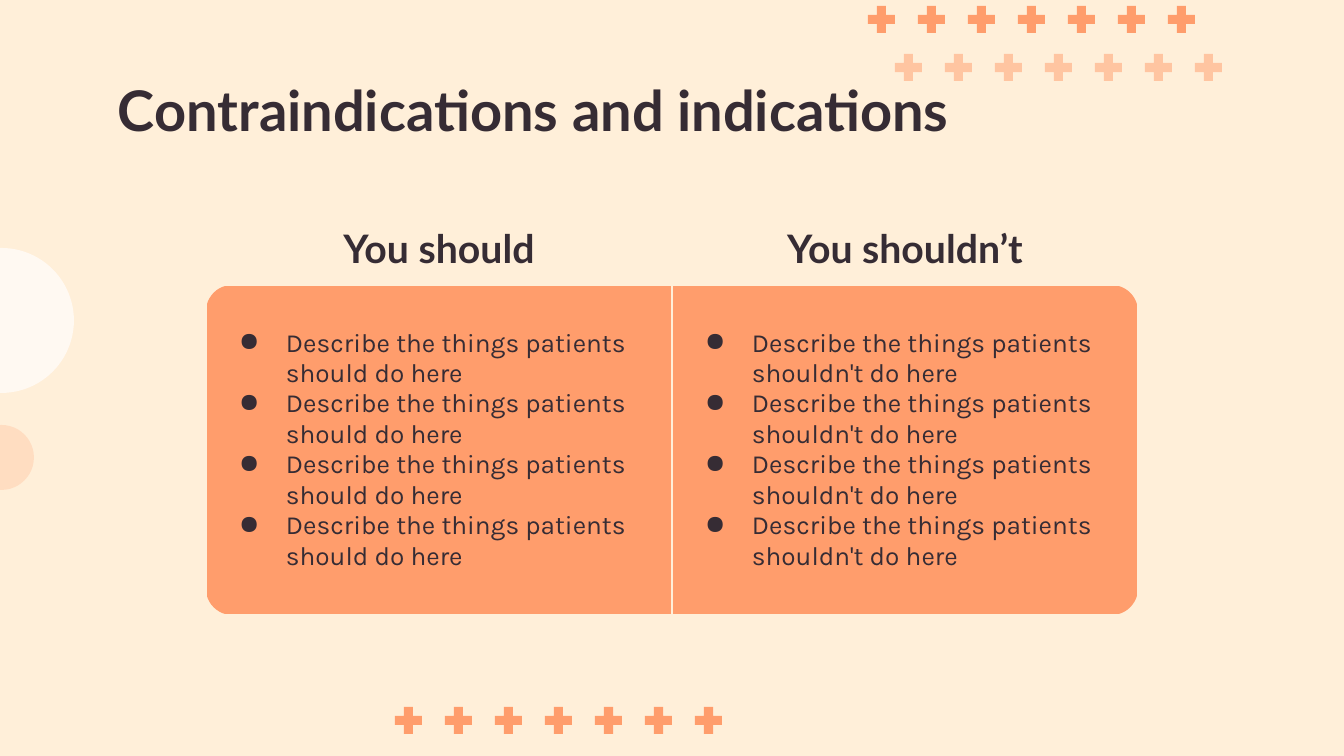
from lxml import etree
from pptx import Presentation
from pptx.dml.color import RGBColor
from pptx.enum.shapes import MSO_SHAPE
from pptx.enum.text import MSO_ANCHOR, PP_ALIGN
from pptx.oxml.ns import qn
from pptx.util import Pt

CROSS = MSO_SHAPE.CROSS
OVAL = MSO_SHAPE.OVAL
ROUND = MSO_SHAPE.ROUNDED_RECTANGLE
TOP, MIDDLE = MSO_ANCHOR.TOP, MSO_ANCHOR.MIDDLE
LEFT, CENTER = PP_ALIGN.LEFT, PP_ALIGN.CENTER

SCALE = 914400 / 134.4  # EMU in one px
WIDE, HIGH = 1344, 756

THEME = {
    "cream": "FFEFD9", "orange": "FF9D6C", "white": "FFFFFF", "ink": "362C34",
    "title": {"name": "Lato", "size": Pt(30), "bold": True},
    "head": {"name": "Lato", "size": Pt(21), "bold": True},
    "body": {"name": "Karla", "size": Pt(14), "bold": False},
    "rule": Pt(0.75),
}
INSET = 13
INDENT, HANG = 67, 47

COLUMNS = [
    ("You should", ["Describe the things patients should do here"] * 4),
    ("You shouldn’t", ["Describe the things patients shouldn't do here"] * 4),
]


def emu(*sizes):
    return [round(size * SCALE) for size in sizes]


def color(name):
    return RGBColor.from_string(THEME[name])


def assign(target, values):
    for key, value in values.items():
        setattr(target, key, value)


def add(parent, tag, **attrs):
    return etree.SubElement(parent, qn(tag), attrs)


def margins(prefix):
    return {prefix + side: emu(INSET)[0] for side in ("left", "right", "top", "bottom")}


def draw(slide, kind, box, name, alpha=100):
    """Place one plain preset shape."""
    shape = slide.shapes.add_shape(kind, *emu(*box))
    shape.shadow.inherit = False
    shape.fill.solid()
    shape.fill.fore_color.rgb = color(name)
    shape.line.fill.background()
    if alpha < 100:
        tint = shape.fill._xPr.find(".//" + qn("a:srgbClr"))
        add(tint, "a:alpha", val=str(alpha * 1000))
    return shape


def write(para, text, style, align=LEFT, bullet=False):
    """Fill one paragraph with a single run."""
    para.alignment = align
    if bullet:
        props = para._p.get_or_add_pPr()
        left, hang = emu(INDENT, HANG)
        props.set("marL", str(left))
        props.set("indent", str(-hang))
        add(add(props, "a:buClr"), "a:srgbClr", val=THEME["ink"])
        add(props, "a:buChar", char="●")
    run = para.add_run()
    run.text = text
    assign(run.font, THEME[style])
    run.font.color.rgb = color("ink")


def crosses(slide, box, alpha=100, count=7):
    """A row of crosses at an equal pitch across the box."""
    left, top, width, size = box
    pitch = (width - size) // (count - 1)
    for i in range(count):
        cross = draw(slide, CROSS, (left + i * pitch, top, size, size), "orange", alpha)
        cross.adjustments[0] = 0.33


def title(slide, box, text):
    frame = slide.shapes.add_textbox(*emu(*box)).text_frame
    assign(frame, {"word_wrap": True, "vertical_anchor": TOP, **margins("margin_")})
    write(frame.paragraphs[0], text, "title")


def outline(cell):
    props = cell._tc.get_or_add_tcPr()
    for side in ("a:lnL", "a:lnR", "a:lnT", "a:lnB"):
        line = add(props, side, w=str(THEME["rule"]))
        add(add(line, "a:solidFill"), "a:srgbClr", val=THEME["cream"])


def advice(slide, box, head):
    """Two headed lists, with the lower row on a rounded panel."""
    left, top, width, height = box
    body = height - head
    panel = draw(slide, ROUND, (left, top + head, width, body), "orange")
    panel.adjustments[0] = 0.08

    table = slide.shapes.add_table(2, len(COLUMNS), *emu(*box)).table
    assign(table, {"first_row": False, "horz_banding": False})
    for row, size in zip(table.rows, emu(head, body)):
        row.height = size
    for i, (name, items) in enumerate(COLUMNS):
        table.columns[i].width = emu(width // len(COLUMNS))[0]
        upper, lower = table.cell(0, i), table.cell(1, i)
        for cell in (upper, lower):
            outline(cell)
            cell.fill.background()
            assign(cell, {"vertical_anchor": MIDDLE, **margins("margin_")})
        write(upper.text_frame.paragraphs[0], name, "head", CENTER)
        frame = lower.text_frame
        for j, item in enumerate(items):
            para = frame.add_paragraph() if j else frame.paragraphs[0]
            write(para, item, "body", bullet=True)


def main():
    deck = Presentation()
    deck.slide_width, deck.slide_height = emu(WIDE, HIGH)
    slide = deck.slides.add_slide(deck.slide_layouts[6])
    slide.background.fill.solid()
    slide.background.fill.fore_color.rgb = color("cream")

    # Decoration
    crosses(slide, (395, 707, 327, 27))
    draw(slide, OVAL, (-31, 425, 65, 65), "orange", 21)
    draw(slide, OVAL, (-71, 248, 145, 145), "white", 66)
    crosses(slide, (895, 54, 327, 27), 51)
    crosses(slide, (868, 6, 327, 27))

    # Content
    title(slide, (105, 63, 1134, 69), "Contraindications and indications")
    advice(slide, (206, 211, 932, 404), 74)
    deck.save("out.pptx")


if __name__ == "__main__":
    main()
